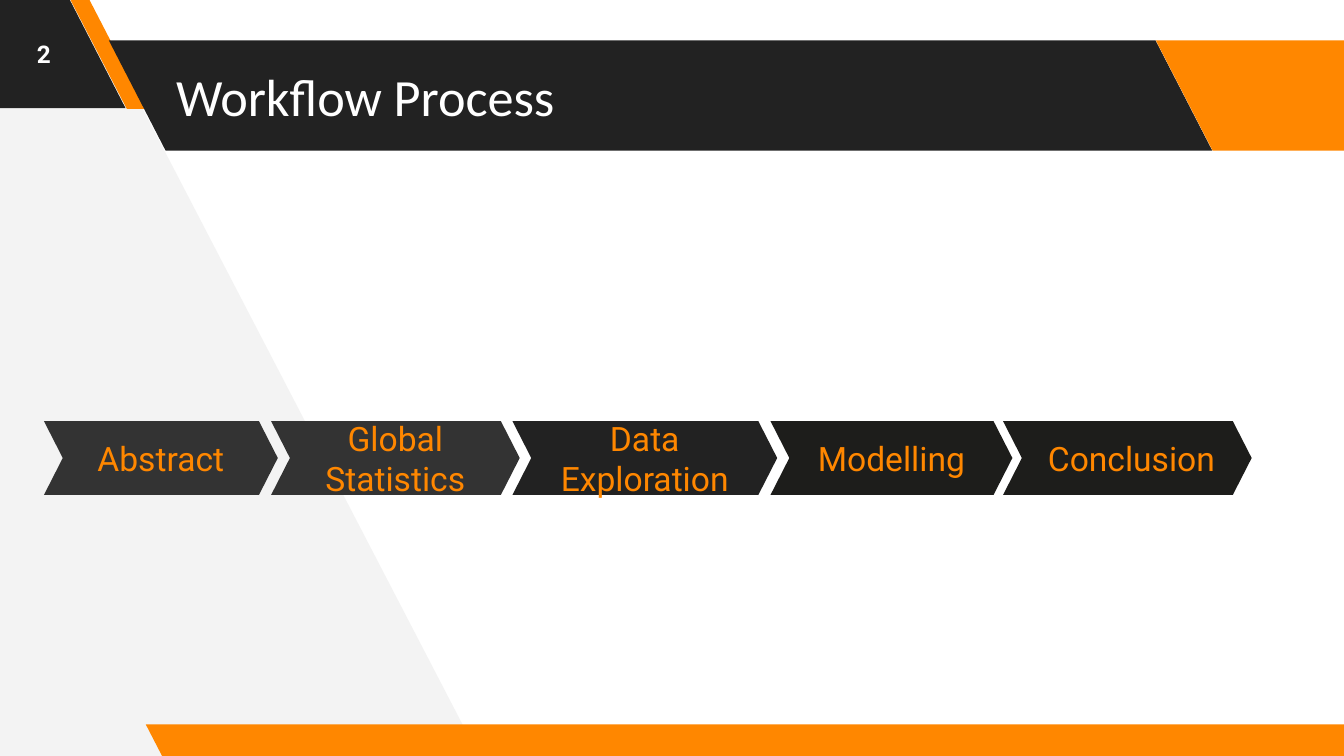
from pptx import Presentation
from pptx.dml.color import RGBColor
from pptx.enum.shapes import MSO_SHAPE as Kind
from pptx.enum.text import MSO_ANCHOR as Anchor, MSO_AUTO_SIZE as Fit, PP_ALIGN as Align
from pptx.util import Inches, Pt

DARK, GOLD, PALE, WHITE = "222222", "FF8700", "F3F3F3", "FFFFFF"

deck = Presentation()
deck.slide_width = Inches(10)
deck.slide_height = deck.slide_width * 9 // 16
slide = deck.slides.add_slide(deck.slide_layouts[5])
shapes = slide.shapes
unit = deck.slide_width / 100  # a grid of 100 columns with square cells


def paint(item, hue):
    item.fill.solid()
    item.fill.fore_color.rgb = RGBColor.from_string(hue)
    item.line.fill.background()
    item.shadow.inherit = False


def write(item, text, align, look, hue):
    frame = item.text_frame
    frame.text = text
    edge = Inches(0.1)
    form = dict(word_wrap=True, auto_size=Fit.NONE, vertical_anchor=Anchor.MIDDLE,
                margin_left=edge, margin_right=edge, margin_top=edge, margin_bottom=edge)
    for key, val in form.items():
        setattr(frame, key, val)
    para = frame.paragraphs[0]
    para.alignment = align
    for key, val in look.items():
        setattr(para.font, key, val)
    para.font.color.rgb = RGBColor.from_string(hue)


# Pale slanted side, in tenths of a column
pen = shapes.build_freeform(356, 562, scale=unit / 10)
pen.add_line_segments([(62, -4), (-6, -4), (-2, 566)], close=True)
paint(pen.convert_to_shape(), PALE)

# Slanted bands: left, top, width, height, slant, colour
bands = [
    (-9.9, -0.2, 19.25, 8.25, 0.515, DARK),
    (5.2, -0.1, 5.65, 8.2, 0.75, GOLD),
    (8.1, 3, 82.1, 8.2, 0.515, DARK),
    (86, 3, 19.2, 8.2, 0.515, GOLD),
    (10.85, 53.9, 91.5, 2.5, 0.515, GOLD),
]
for *spot, slant, hue in bands:
    band = shapes.add_shape(Kind.PARALLELOGRAM, *[int(n * unit) for n in spot])
    band.adjustments[0] = slant
    band.element.spPr.xfrm.set("flipH", "1")
    paint(band, hue)

# Title, brought in front of its band
title = shapes.title
shapes.element.append(title.element)
spot = dict(left=12.1, top=3, width=73.5, height=8.2)
for key, val in spot.items():
    setattr(title, key, int(val * unit))
write(title, "Workflow Process", Align.LEFT, dict(name="Calibri", size=Pt(28)), WHITE)

# Page number
page = shapes.add_textbox(0, 0, int(6.5 * unit), int(8 * unit))
write(page, "2", Align.CENTER, dict(name="Roboto", size=Pt(13), bold=True), WHITE)

# Chain of steps: text, left, width, colour
steps = [
    ("Abstract", 3.27, 17.4, "333333"),
    ("Global Statistics", 20.17, 18.5, "333333"),
    ("Data Exploration", 38.13, 19.7, DARK),
    ("Modelling", 57.33, 18, "1D1D1B"),
    (" Conclusion", 74.63, 18.5, "1D1D1B"),
]
for text, left, wide, hue in steps:
    step = shapes.add_shape(Kind.CHEVRON, *[int(n * unit) for n in (left, 31.33, wide, 5.5)])
    step.adjustments[0] = 0.255
    paint(step, hue)
    write(step, text, Align.CENTER, dict(name="Roboto", size=Pt(18)), GOLD)

deck.save("out.pptx")
